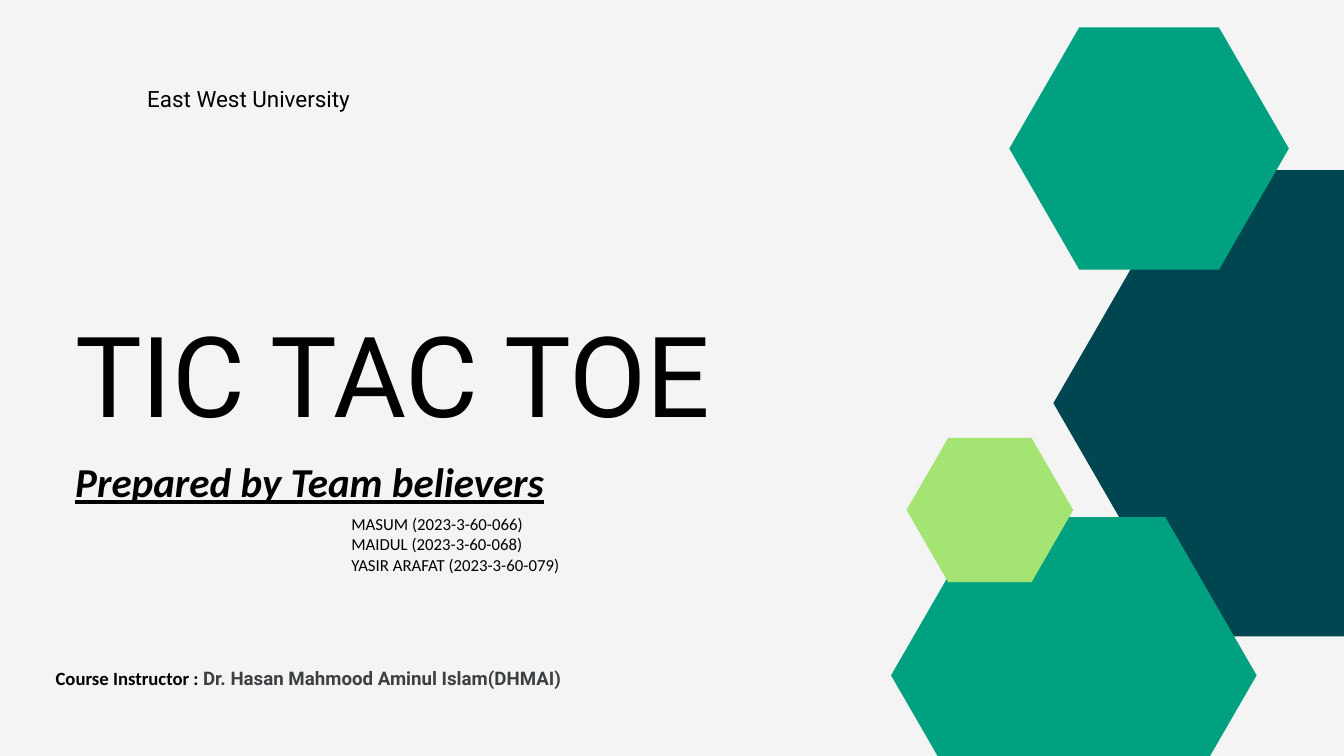
import math

import pptx
import pptx.dml.color
import pptx.enum.text
import pptx.util

COLUMNS, ROWS = 20, 11.25  # square grid cells of one inch
TEAL, DARK, LIME = "00A181", "004651", "A4E473"
BLACK, GREY, PAPER = "000000", "3C4043", "F4F4F4"
BODY, DISPLAY = "Calibri", "Roboto"


def color(value):
    return pptx.dml.color.RGBColor.from_string(value)


class Cover:
    """Holds the style and the current slide; lengths are grid cells."""

    def __init__(self, deck):
        self.cell = deck.slide_width / COLUMNS
        self.slide = deck.slides.add_slide(deck.slide_layouts[6])
        background = self.slide.background.fill
        background.solid()
        background.fore_color.rgb = color(PAPER)

    def cells(self, *lengths):
        return [round(length * self.cell) for length in lengths]

    def hexagon(self, center_x, center_y, width, fill):
        """Regular hexagon with its points to the left and right."""
        radius = width / 2
        corners = [
            self.cells(center_x + radius * math.cos(math.radians(angle)),
                       center_y + radius * math.sin(math.radians(angle)))
            for angle in range(0, 360, 60)
        ]
        builder = self.slide.shapes.build_freeform(*corners[0])
        builder.add_line_segments(corners[1:], close=True)
        shape = builder.convert_to_shape()
        shape.shadow.inherit = False
        shape.fill.solid()
        shape.fill.fore_color.rgb = color(fill)
        shape.line.fill.background()

    def text(self, place, lines, size, font=BODY, spacing=None, inset=None):
        """Text box with one plain paragraph for each line."""
        box = self.slide.shapes.add_textbox(*self.cells(*place))
        frame = box.text_frame
        frame.word_wrap = True
        if inset is not None:
            frame.margin_left = frame.margin_right = self.cells(inset)[0]
            frame.margin_top = frame.margin_bottom = self.cells(inset)[0]
        frame.text = "\n".join(lines)
        frame.auto_size = pptx.enum.text.MSO_AUTO_SIZE.SHAPE_TO_FIT_TEXT
        for para in frame.paragraphs:
            if spacing:
                para.line_spacing = pptx.util.Pt(spacing)
            for span in para.runs:
                self.style(span, size, font)
        return frame.paragraphs[0]

    def style(self, span, size, font, ink=BLACK, bold=False):
        span.font.size = pptx.util.Pt(size)
        span.font.name = font
        span.font.bold = bold
        span.font.color.rgb = color(ink)


def main():
    deck = pptx.Presentation()
    deck.slide_width = pptx.util.Inches(COLUMNS)
    deck.slide_height = pptx.util.Inches(ROWS)
    cover = Cover(deck)

    # Title and subtitle
    cover.text((1.12, 4.54, 11.16, 2), ["TIC TAC TOE"], 120, DISPLAY,
               spacing=144, inset=0)
    subtitle = cover.text((1.12, 6.8, 11.16, 0.74),
                          ["Prepared by Team believers"], 44, inset=0)
    font = subtitle.runs[0].font
    font.bold = font.italic = font.underline = True

    # Hexagon cluster, from back to front
    for hexagon in [
        (19.68, 6, 8.01, DARK),
        (15.98, 10.05, 5.44, TEAL),
        (14.73, 7.59, 2.48, LIME),
        (17.1, 2.21, 4.16, TEAL),
    ]:
        cover.hexagon(*hexagon)

    # University and team members
    cover.text((2.19, 1.2, 3.55, 0.44), ["East West University"], 24, DISPLAY,
               spacing=33.6, inset=0)
    cover.text((5.13, 7.6, 7.15, 1.01), [
        "MASUM (2023-3-60-066)",
        "MAIDUL (2023-3-60-068)",
        "YASIR ARAFAT (2023-3-60-079)",
    ], 18)

    # Course instructor
    instructor = cover.text((0, 9.88, 9.18, 1.22), ["Course Instructor : "], 20)
    instructor.alignment = pptx.enum.text.PP_ALIGN.CENTER
    instructor.space_after = pptx.util.Pt(8)
    instructor.runs[0].font.bold = True
    name = instructor.add_run()
    name.text = "Dr. Hasan Mahmood Aminul Islam(DHMAI)"
    cover.style(name, 20, DISPLAY, GREY, bold=True)

    deck.save("out.pptx")


if __name__ == "__main__":
    main()
